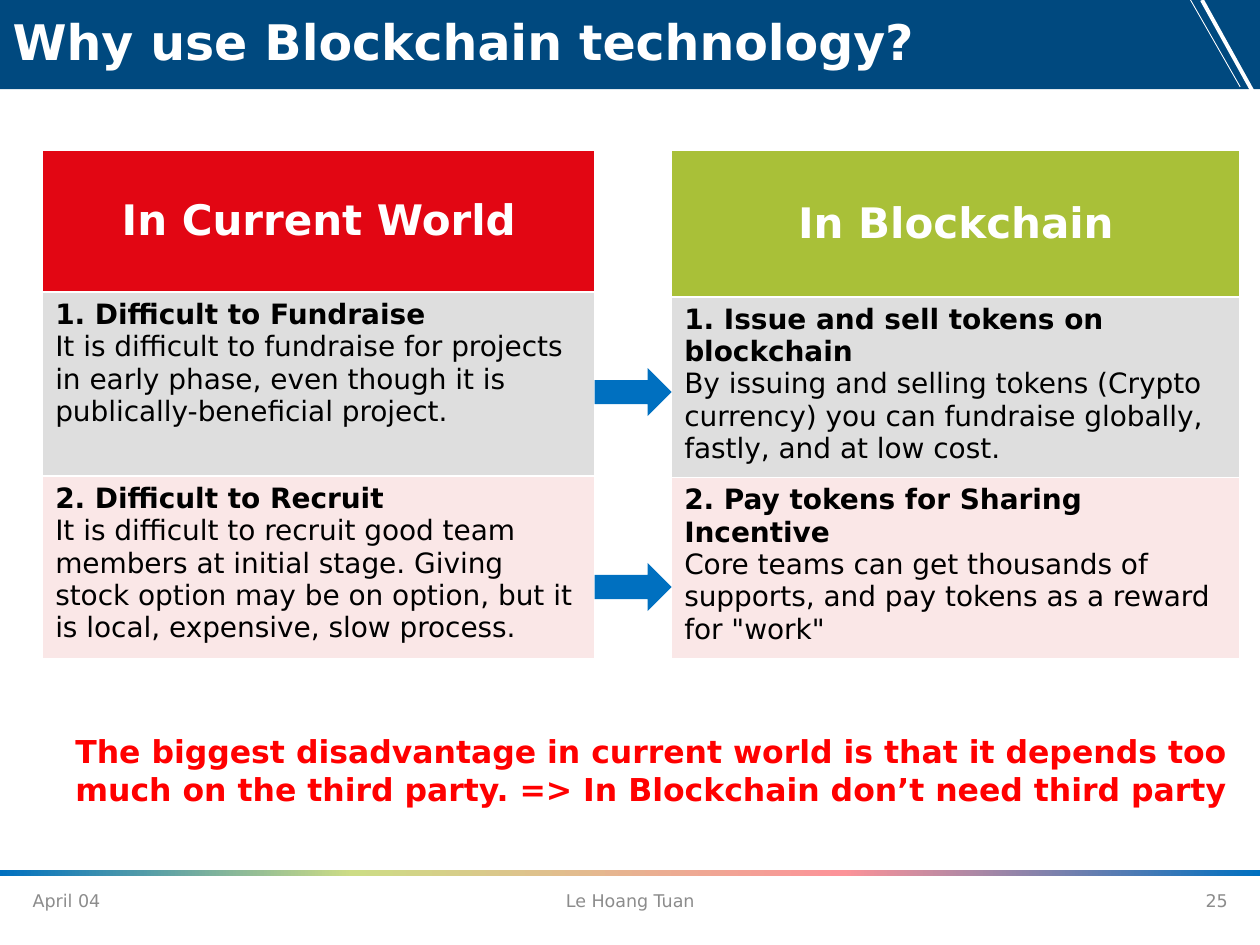
from lxml import etree
from pptx import Presentation
from pptx.dml.color import RGBColor
from pptx.enum import shapes, text
from pptx.oxml.ns import qn
from pptx.util import Cm, Pt

# Content
TITLE = "Why use Blockchain technology?"
CONCLUSION = ("The biggest disadvantage in current world is that it depends too much "
              "on the third party. => In Blockchain don’t need third party")
LEFT, CENTER, RIGHT = text.PP_ALIGN.LEFT, text.PP_ALIGN.CENTER, text.PP_ALIGN.RIGHT
FOOTER = [  # wording, left, width, alignment
    ("April 04", 0.41, 5.72, LEFT),
    ("Le Hoang Tuan", 8.41, 8.59, CENTER),
    ("25", 19.28, 5.72, RIGHT),
]
COLUMNS = [
    {"heading": "In Current World", "color": "E20613",
     "left": 0.86, "width": 11.13, "rows": (2.87, 3.71, 3.68),
     "points": [
         ("1. Difficult to Fundraise",
          "It is difficult to fundraise for projects in early phase, even though "
          "it is publically-beneficial project."),
         ("2. Difficult to Recruit",
          "It is difficult to recruit good team members at initial stage. Giving "
          "stock option may be on option, but it is local, expensive, slow process."),
     ]},
    {"heading": "In Blockchain", "color": "A9C038",
     "left": 13.54, "width": 11.46, "rows": (2.97, 2.97, 2.97),
     "points": [
         ("1. Issue and sell tokens on blockchain",
          "By issuing and selling tokens (Crypto currency) you can fundraise "
          "globally, fastly, and at low cost."),
         ("2. Pay tokens for Sharing Incentive",
          "Core teams can get thousands of supports, and pay tokens as a reward "
          "for \"work\""),
     ]},
]
POINT_FILLS = ["DEDEDE", "FAE7E7"]
TABLE_TOP = 3.02
ARROW_TOPS = [7.42, 11.35]
STRIPES = [((24, 0), (25, 1.75), 0.5), ((24.23, 0), (25.4, 2.11), 2.25)]
STRIP_STOPS = [(0, "0070C0"), (28, "CDDC85"), (67, "FC9399"), (100, "0070C0")]
FONT = "DejaVu Sans"
MIDDLE = text.MSO_ANCHOR.MIDDLE


def paint(target, color):
    target.solid()
    target.fore_color.rgb = RGBColor.from_string(color)


def style(paragraph, size, color, bold=False, align=LEFT):
    paragraph.alignment = align
    for run in paragraph.runs:
        run.font.name, run.font.size, run.font.bold = FONT, Pt(size), bold
        paint(run.font.fill, color)


def add_block(kind, left, top, width, height):
    block = slide.shapes.add_shape(kind, Cm(left), Cm(top), Cm(width), Cm(height))
    block.shadow.inherit = False
    block.line.fill.background()
    return block


def add_label(wording, left, top, width, height):
    label = slide.shapes.add_textbox(Cm(left), Cm(top), Cm(width), Cm(height))
    label.text_frame.word_wrap = True
    label.text_frame.text = wording
    return label.text_frame


prs = Presentation()
prs.slide_width, prs.slide_height = Cm(25.4), Cm(19.05)
slide = prs.slides.add_slide(prs.slide_layouts[5])

# Title band
title = slide.shapes.title
title.left, title.top, title.width, title.height = Cm(0), Cm(0), Cm(25.4), Cm(1.8)
paint(title.fill, "00497F")
title.text_frame.text = TITLE
title.text_frame.vertical_anchor = MIDDLE
title.text_frame.auto_size = text.MSO_AUTO_SIZE.NONE
heading = title.text_frame.paragraphs[0]
heading.line_spacing, heading.space_before = 0.9, Pt(7.5)
style(heading, 28, "FFFFFF", True)

# Diagonal stripes
for start, end, weight in STRIPES:
    stripe = slide.shapes.add_connector(
        shapes.MSO_CONNECTOR.STRAIGHT, *(Cm(v) for v in start + end))
    paint(stripe.line.fill, "FFFFFF")
    stripe.line.width = Pt(weight)
    etree.SubElement(stripe._element.spPr, qn("a:effectLst"))

# Footer strip with a four-colour gradient
strip = add_block(shapes.MSO_SHAPE.RECTANGLE, 0, 17.53, 25.4, 0.13)
strip.fill.gradient()
strip.fill.gradient_angle = 0
stops = strip._element.spPr.find(".//" + qn("a:gsLst"))
for old in list(stops):
    stops.remove(old)
for position, color in STRIP_STOPS:
    stop = etree.SubElement(stops, qn("a:gs"), pos=str(position * 1000))
    etree.SubElement(stop, qn("a:srgbClr"), val=color)

for wording, left, width, align in FOOTER:
    frame = add_label(wording, left, 17.65, width, 1.02)
    frame.vertical_anchor = MIDDLE
    style(frame.paragraphs[0], 10, "8C8C8C", align=align)

# Comparison tables
for column in COLUMNS:
    table = slide.shapes.add_table(
        3, 1, Cm(column["left"]), Cm(TABLE_TOP),
        Cm(column["width"]), Cm(sum(column["rows"]))).table
    table.horz_banding = False
    for row, height in zip(table.rows, column["rows"]):
        row.height = Cm(height)

    header = table.cell(0, 0)
    paint(header.fill, column["color"])
    header.vertical_anchor = MIDDLE
    header.text_frame.text = column["heading"]
    style(header.text_frame.paragraphs[0], 24, "FFFFFF", True, CENTER)

    for number, (point, color) in enumerate(zip(column["points"], POINT_FILLS), 1):
        cell = table.cell(number, 0)
        paint(cell.fill, color)
        cell.text_frame.text = "\n".join(point)
        for paragraph, bold in zip(cell.text_frame.paragraphs, (True, False)):
            style(paragraph, 16, "000000", bold)

# Arrows fill the gap between the tables
gap_left = COLUMNS[0]["left"] + COLUMNS[0]["width"]
gap_width = COLUMNS[1]["left"] - gap_left
for top in ARROW_TOPS:
    arrow = add_block(shapes.MSO_SHAPE.RIGHT_ARROW, gap_left, top, gap_width, 0.97)
    paint(arrow.fill, "0070C0")

# Conclusion
conclusion = add_label(CONCLUSION, 1.27, 14.63, 24.13, 1.8)
conclusion.auto_size = text.MSO_AUTO_SIZE.SHAPE_TO_FIT_TEXT
style(conclusion.paragraphs[0], 18, "FF0000", True)

prs.save("out.pptx")
